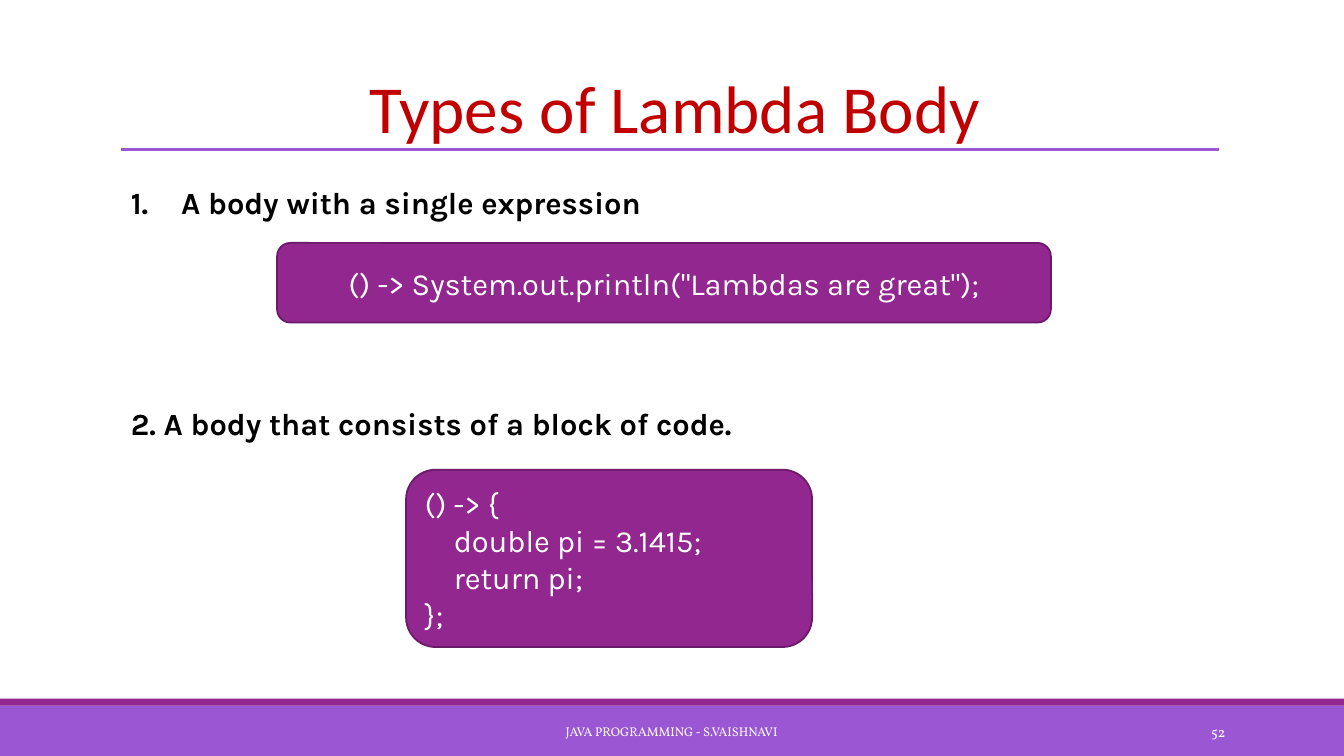
import dataclasses

import lxml.etree
import pptx
import pptx.dml.color
import pptx.enum.shapes
import pptx.enum.text
import pptx.oxml.ns
import pptx.util

Pt = pptx.util.Pt
ALIGN = pptx.enum.text.PP_ALIGN
ANCHOR = pptx.enum.text.MSO_ANCHOR
SHAPE = pptx.enum.shapes.MSO_SHAPE

COLORS = {
    "violet": "9B57D3",
    "purple": "92278F",
    "edge": "6A1A68",
    "red": "C00000",
    "black": "000000",
    "white": "FFFFFF",
}


@dataclasses.dataclass(frozen=True)
class TextStyle:
    font: str
    size: float
    color: str
    align: int = ALIGN.LEFT
    anchor: int = ANCHOR.MIDDLE
    bold: bool = False
    spacing: float = 1.0
    space_before: float = 0
    margins: tuple[float, float, float, float] = (7.2, 3.6, 7.2, 3.6)


@dataclasses.dataclass(frozen=True)
class Label:
    area: tuple[float, float, float, float]
    lines: tuple[str, ...]
    style: TextStyle


@dataclasses.dataclass(frozen=True)
class Panel:
    area: tuple[float, float, float, float]
    fill: str
    edge: str = ""
    kind: int = SHAPE.RECTANGLE
    lines: tuple[str, ...] = ()
    style: TextStyle | None = None


TITLE = Label((86.4, 28.8, 792, 78.5), ("Types of Lambda Body",),
              TextStyle("Calibri", 48, "red", ALIGN.CENTER, ANCHOR.BOTTOM,
                        spacing=0.85, margins=(0, 0, 0, 2)))
HEADINGS = Label((86.4, 114.5, 810.7, 205.2),
                 ("A body with a single expression",
                  "2. A body that consists of a block of code."),
                 TextStyle("Karla", 22, "black", ALIGN.JUSTIFY, ANCHOR.TOP,
                           bold=True, spacing=1.5, space_before=118.5))
FOOTERS = (
    Label((290.2, 508.3, 379.4, 28.8), ("JAVA PROGRAMMING - S.VAISHNAVI",),
          TextStyle("Vollkorn", 9, "white", ALIGN.CENTER)),
    Label((779.8, 508.3, 103, 28.8), ("52",),
          TextStyle("Vollkorn", 10, "white", ALIGN.RIGHT)),
)
BANDS = (
    Panel((0, 504, 960.48, 36), "violet"),
    Panel((0, 499, 960.48, 5), "purple"),
)
CODE_PANELS = (
    Panel((198, 173.5, 553, 56.9), "purple", "edge", SHAPE.ROUNDED_RECTANGLE,
          ('() -> System.out.println("Lambdas are great");',),
          TextStyle("Karla", 22, "white", ALIGN.CENTER)),
    Panel((290.2, 335.5, 290.2, 126.7), "purple", "edge", SHAPE.ROUNDED_RECTANGLE,
          ("() -> {", "    double pi = 3.1415;", "    return pi;", "};"),
          TextStyle("Karla", 22, "white")),
)


def rgb(name: str) -> pptx.dml.color.RGBColor:
    return pptx.dml.color.RGBColor.from_string(COLORS[name])


def set_all(target: object, values: dict) -> None:
    for name, value in values.items():
        setattr(target, name, value)


def write(frame, lines: tuple[str, ...], style: TextStyle) -> None:
    left, top, right, bottom = style.margins
    set_all(frame, {
        "word_wrap": True,
        "auto_size": pptx.enum.text.MSO_AUTO_SIZE.NONE,
        "vertical_anchor": style.anchor,
        "margin_left": Pt(left),
        "margin_top": Pt(top),
        "margin_right": Pt(right),
        "margin_bottom": Pt(bottom),
    })
    for index, line in enumerate(lines):
        para = frame.add_paragraph() if index else frame.paragraphs[0]
        set_all(para, {
            "alignment": style.align,
            "line_spacing": style.spacing,
            "space_before": Pt(style.space_before if index else 0),
        })
        span = para.add_run()
        span.text = line
        set_all(span.font, {"name": style.font, "size": Pt(style.size), "bold": style.bold})
        span.font.color.rgb = rgb(style.color)


def add_label(page, label: Label):
    box = page.shapes.add_textbox(*map(Pt, label.area))
    write(box.text_frame, label.lines, label.style)
    return box


def add_panel(page, panel: Panel) -> None:
    box = page.shapes.add_shape(panel.kind, *map(Pt, panel.area))
    box.shadow.inherit = False
    box.fill.solid()
    box.fill.fore_color.rgb = rgb(panel.fill)
    if panel.edge:
        box.line.color.rgb = rgb(panel.edge)
        box.line.width = Pt(1.25)
    else:
        box.line.fill.background()
    if panel.style:
        write(box.text_frame, panel.lines, panel.style)


def add_title(page) -> None:
    box = page.shapes.title
    set_all(box, dict(zip(("left", "top", "width", "height"), map(Pt, TITLE.area))))
    write(box.text_frame, TITLE.lines, TITLE.style)


def add_rule(page) -> None:
    rule = page.shapes.add_connector(pptx.enum.shapes.MSO_CONNECTOR.STRAIGHT,
                                     Pt(86.4), Pt(106.5), Pt(871.2), Pt(106.5))
    rule.line.color.rgb = rgb("violet")
    rule.line.width = Pt(2)
    lxml.etree.SubElement(rule._element.spPr, pptx.oxml.ns.qn("a:effectLst"))


def add_headings(page) -> None:
    box = add_label(page, HEADINGS)
    for index, para in enumerate(box.text_frame.paragraphs):
        properties = para._p.get_or_add_pPr()
        properties.set("marL", str(Pt(36)))
        properties.set("indent", str(Pt(-36)))
        if index == 0:
            number = lxml.etree.SubElement(properties, pptx.oxml.ns.qn("a:buAutoNum"))
            number.set("type", "arabicPeriod")


def main() -> None:
    deck = pptx.Presentation()
    set_all(deck, {"slide_width": Pt(960.48), "slide_height": Pt(540)})
    page = deck.slides.add_slide(deck.slide_layouts[5])
    for band in BANDS:
        add_panel(page, band)
    add_rule(page)
    for footer in FOOTERS:
        add_label(page, footer)
    add_title(page)
    add_headings(page)
    for panel in CODE_PANELS:
        add_panel(page, panel)
    deck.save("out.pptx")


if __name__ == "__main__":
    main()
